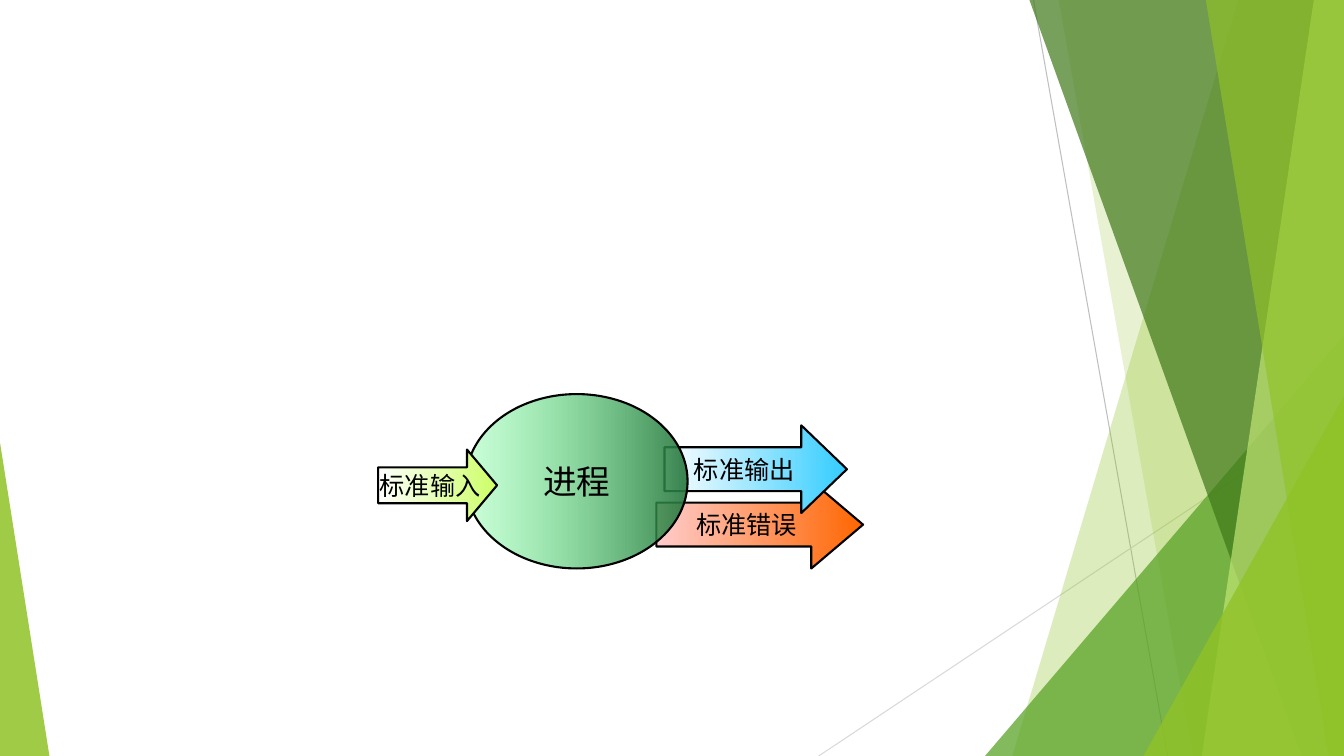
from lxml import etree
from pptx import Presentation
from pptx import util as u
from pptx.dml.color import RGBColor
from pptx.enum import shapes, text
from pptx.oxml.ns import qn

WIDTH, HEIGHT = 13.33, 7.5
BLACK = RGBColor(0x00, 0x00, 0x00)
WHITE = RGBColor(0xFF, 0xFF, 0xFF)
GREY = RGBColor(0xBF, 0xBF, 0xBF)
LIGHT_GREY = RGBColor(0xD9, 0xD9, 0xD9)
LIME = RGBColor(0x90, 0xC2, 0x26)
GREEN = RGBColor(0x54, 0xA0, 0x21)
DARK_GREEN = RGBColor(0x3F, 0x78, 0x19)
PALE_LIME = RGBColor(0xC0, 0xE4, 0x74)
PINK = RGBColor(0xFF, 0xCC, 0xCC)
ORANGE = RGBColor(0xFF, 0x66, 0x00)
SKY = RGBColor(0x33, 0xCC, 0xFF)
YELLOW_GREEN = RGBColor(0xCC, 0xFF, 0x66)
MINT = RGBColor(0x51, 0xFD, 0x7E)
FOREST = RGBColor(0x2A, 0x78, 0x40)


def set_opacity(color_element, percent):
    etree.SubElement(color_element, qn("a:alpha")).set("val", str(percent * 1000))


def paint_facet(shape, color, percent):
    """Give a background facet a translucent fill and no outline."""
    shape.shadow.inherit = False
    shape.fill.solid()
    shape.fill.fore_color.rgb = color
    set_opacity(next(shape.fill._xPr.iter(qn("a:srgbClr"))), percent)
    shape.line.fill.background()


presentation = Presentation()
presentation.slide_width = u.Inches(WIDTH)
presentation.slide_height = u.Inches(HEIGHT)
slide = presentation.slides.add_slide(presentation.slide_layouts[6])

# Thin background lines
for x1, y1, x2, y2, color in [
    (10.25, 0, 11.58, HEIGHT, GREY),
    (WIDTH, 4.03, 8.12, HEIGHT, LIGHT_GREY),
]:
    line = slide.shapes.add_connector(
        shapes.MSO_CONNECTOR.STRAIGHT, *map(u.Inches, (x1, y1, x2, y2)))
    line.line.color.rgb = color
    line.line.width = u.Pt(0.75)
    etree.SubElement(line._element.spPr, qn("a:effectLst"))

# Background facets: bands run from the top to the bottom along the right edge;
# triangles stand on the bottom edge with the apex at their left or right.
facets = [
    ("band", 12.28, 10.04, LIME, 30),
    ("band", 10.5, 11.83, LIME, 20),
    ("triangle", (9.77, 3.33, 3.56), 1, GREEN, 72),
    ("band", 10.21, 12.91, DARK_GREEN, 70),
    ("band", 13.03, 11.92, PALE_LIME, 70),
    ("band", 11.96, 13.18, LIME, 65),
    ("triangle", (11.34, 3.93, 1.99), 1, LIME, 80),
    ("triangle", (0, 4.39, 0.49), 0, LIME, 85),
]
for kind, start, end, color, opacity in facets:
    if kind == "band":
        builder = slide.shapes.build_freeform(
            u.Inches(start), 0, scale=1.0)
        corners = [(WIDTH, 0), (WIDTH, HEIGHT), (end, HEIGHT)]
        builder.add_line_segments(
            [(u.Inches(x), u.Inches(y)) for x, y in corners], close=True)
        facet = builder.convert_to_shape()
    else:
        left, top, width = start
        facet = slide.shapes.add_shape(
            shapes.MSO_SHAPE.ISOSCELES_TRIANGLE,
            *map(u.Inches, (left, top, width, HEIGHT - top)))
        facet.adjustments[0] = end
    paint_facet(facet, color, opacity)

# Process with its standard streams, back to front
ARROW, OVAL = shapes.MSO_SHAPE.RIGHT_ARROW, shapes.MSO_SHAPE.OVAL
streams = [
    ("标准错误", ARROW, (6.51, 4.77, 2.05, 0.87), 0.59, PINK, ORANGE, "Cabin", 18),
    ("标准输出", ARROW, (6.59, 4.22, 1.81, 0.87), 0.52, WHITE, SKY, "Cabin", 18),
    ("进程", OVAL, (4.62, 3.91, 2.2, 1.73), None, MINT, FOREST, "Arial", 24),
    ("标准输入", ARROW, (3.75, 4.46, 1.18, 0.71), 0.42, WHITE, YELLOW_GREEN, "Cabin", 18),
]
for label, preset, box, head, first, last, font, size in streams:
    shape = slide.shapes.add_shape(preset, *map(u.Inches, box))
    shape.shadow.inherit = False
    if preset == ARROW:
        shape.adjustments[1] = head
    shape.fill.gradient()
    shape.fill.gradient_angle = 0
    for stop, color in zip(shape.fill.gradient_stops, (first, last)):
        stop.color.rgb = color
    if preset == OVAL:
        stop_colors = list(shape.fill._xPr.iter(qn("a:srgbClr")))
        for stop_color, opacity in zip(stop_colors, (29, 92)):
            set_opacity(stop_color, opacity)
    shape.line.color.rgb = BLACK
    shape.line.width = u.Pt(1.5)
    frame = shape.text_frame
    frame.word_wrap = False
    frame.vertical_anchor = text.MSO_ANCHOR.MIDDLE
    paragraph = frame.paragraphs[0]
    paragraph.alignment = text.PP_ALIGN.CENTER
    run = paragraph.add_run()
    run.text = label
    run.font.name = font
    run.font.size = u.Pt(size)
    run.font.color.rgb = BLACK

presentation.save("out.pptx")
